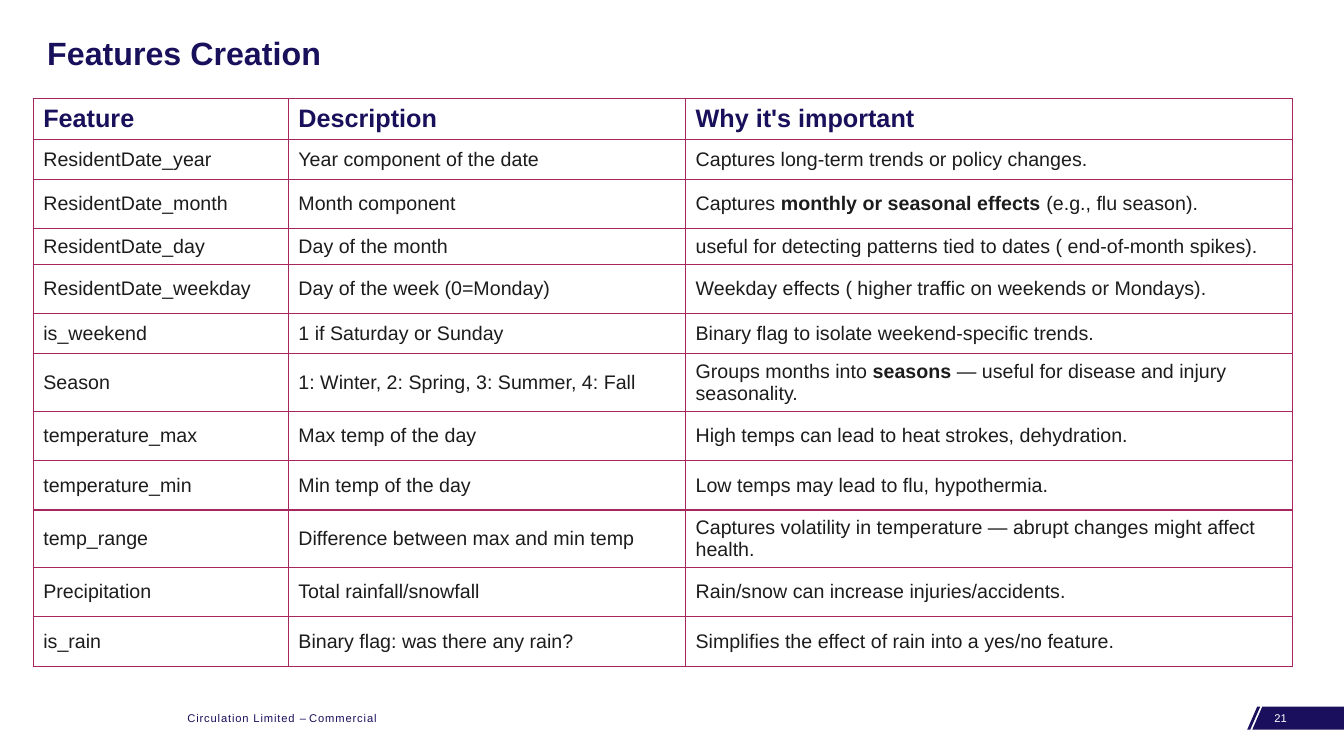
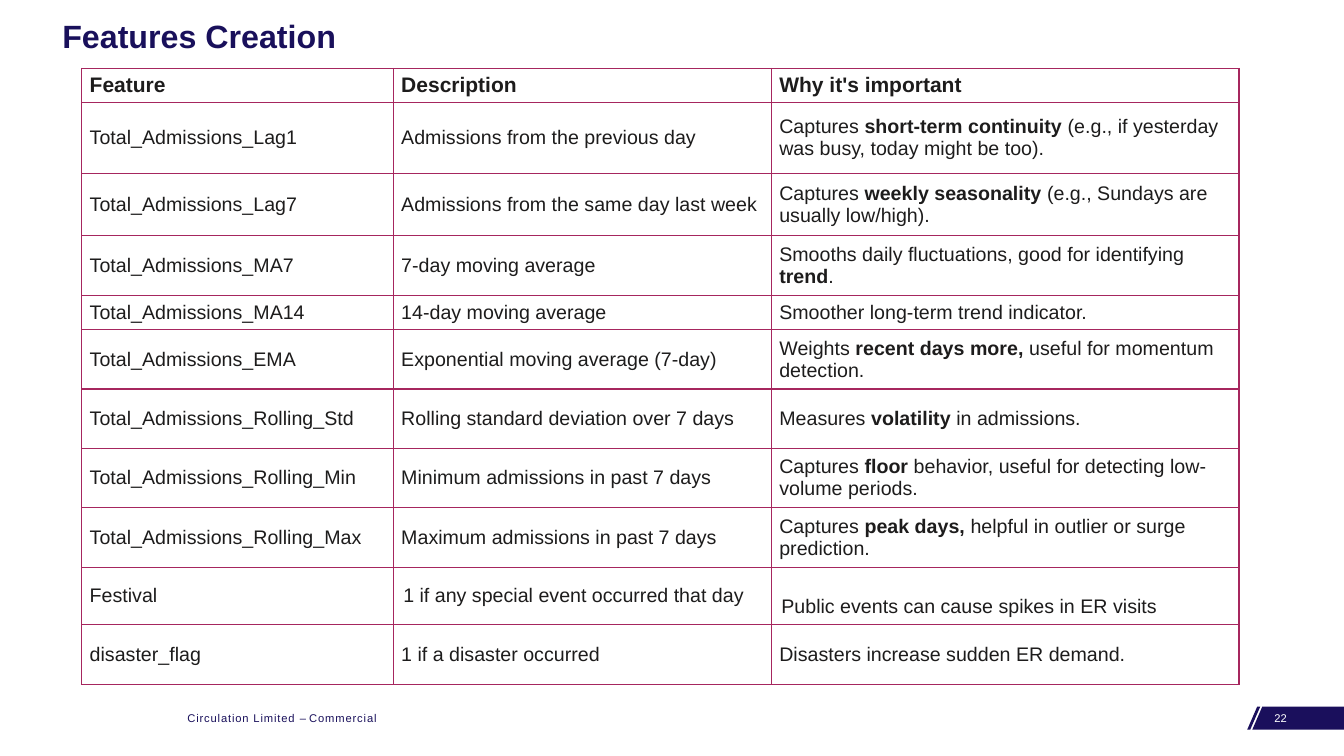
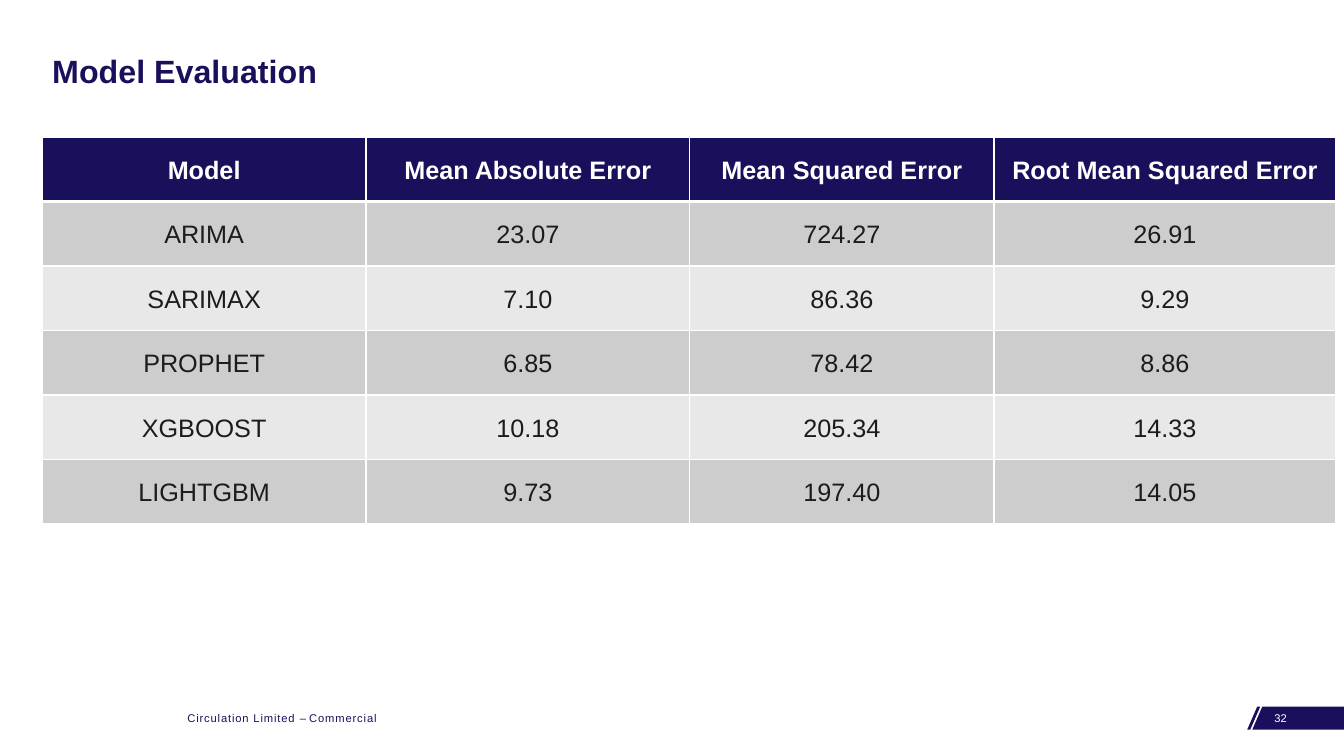
import pptx
import pptx.dml.color
import pptx.enum.text
import pptx.oxml
import pptx.oxml.ns
import pptx.util

Inches = pptx.util.Inches
Pt = pptx.util.Pt
rgb = pptx.dml.color.RGBColor.from_string
MIDDLE = pptx.enum.text.MSO_ANCHOR.MIDDLE
TOP = pptx.enum.text.MSO_ANCHOR.TOP
CENTER = pptx.enum.text.PP_ALIGN.CENTER
LEFT = pptx.enum.text.PP_ALIGN.LEFT

NAVY = "19105B"
BAND = "1A0F5C"
BERRY = "A6265E"
INK = "1D1C1C"
WHITE = "FFFFFF"
GREYS = ["E8E8E8", "CDCDCD"]


def write_text(paragraph, text, size=14, color=INK, bold=False, align=LEFT, spacing=1.0, tracking=0):
    paragraph.alignment = align
    paragraph.line_spacing = spacing
    for position, part in enumerate(text.split("**")):
        run = paragraph.add_run()
        run.text = part
        run.font.name = "Arial"
        run.font.size = Pt(size)
        run.font.bold = bold or position % 2 == 1
        run.font.color.rgb = rgb(color)
        if tracking:
            run.font._element.set("spc", str(round(tracking * 100)))


def draw_borders(cell, color, top=1, bottom=1):
    widths = {"lnL": 1, "lnR": 1, "lnT": top, "lnB": bottom}
    for order, (side, width) in enumerate(widths.items()):
        border = pptx.oxml.parse_xml(
            f'<a:{side} {pptx.oxml.ns.nsdecls("a")} w="{Pt(width)}">'
            f'<a:solidFill><a:srgbClr val="{color}"/></a:solidFill></a:{side}>'
        )
        cell._tc.get_or_add_tcPr().insert(order, border)


heading = ["Feature", "Description", "Why it's important"]

date_weather_features = [
    heading,
    ["ResidentDate_year", "Year component of the date", "Captures long-term trends or policy changes."],
    ["ResidentDate_month", "Month component", "Captures **monthly or seasonal effects** (e.g., flu season)."],
    ["ResidentDate_day", "Day of the month",
     "useful for detecting patterns tied to dates ( end-of-month spikes)."],
    ["ResidentDate_weekday", "Day of the week (0=Monday)",
     "Weekday effects ( higher traffic on weekends or Mondays)."],
    ["is_weekend", "1 if Saturday or Sunday", "Binary flag to isolate weekend-specific trends."],
    ["Season", "1: Winter, 2: Spring, 3: Summer, 4: Fall",
     "Groups months into **seasons** — useful for disease and injury seasonality."],
    ["temperature_max", "Max temp of the day", "High temps can lead to heat strokes, dehydration."],
    ["temperature_min", "Min temp of the day", "Low temps may lead to flu, hypothermia."],
    ["temp_range", "Difference between max and min temp",
     "Captures volatility in temperature — abrupt changes might affect health."],
    ["Precipitation", "Total rainfall/snowfall", "Rain/snow can increase injuries/accidents."],
    ["is_rain", "Binary flag: was there any rain?", "Simplifies the effect of rain into a yes/no feature."],
]

admission_features = [
    heading,
    ["Total_Admissions_Lag1", "Admissions from the previous day",
     "Captures **short-term continuity** (e.g., if yesterday was busy, today might be too)."],
    ["Total_Admissions_Lag7", "Admissions from the same day last week",
     "Captures **weekly seasonality** (e.g., Sundays are usually low/high)."],
    ["Total_Admissions_MA7", "7-day moving average",
     "Smooths daily fluctuations, good for identifying **trend**."],
    ["Total_Admissions_MA14", "14-day moving average", "Smoother long-term trend indicator."],
    ["Total_Admissions_EMA", "Exponential moving average (7-day)",
     "Weights **recent days more,** useful for momentum detection."],
    ["Total_Admissions_Rolling_Std", "Rolling standard deviation over 7 days",
     "Measures **volatility** in admissions."],
    ["Total_Admissions_Rolling_Min", "Minimum admissions in past 7 days",
     "Captures **floor** behavior, useful for detecting low-volume periods."],
    ["Total_Admissions_Rolling_Max", "Maximum admissions in past 7 days",
     "Captures **peak days,** helpful in outlier or surge prediction."],
    ["Festival", "1 if any special event occurred that day", "Public events can cause spikes in ER visits"],
    ["disaster_flag", "1 if a disaster occurred", "Disasters increase sudden ER demand."],
]

model_errors = [
    ["Model", "Mean Absolute Error", "Mean Squared Error", "Root Mean Squared Error"],
    ["ARIMA", "23.07", "724.27", "26.91"],
    ["SARIMAX", "7.10", "86.36", "9.29"],
    ["PROPHET", "6.85", "78.42", "8.86"],
    ["XGBOOST", "10.18", "205.34", "14.33"],
    ["LIGHTGBM", "9.73", "197.40", "14.05"],
]

pages = [
    dict(number="21", title="Features Creation", title_box=(0.37, 0.12, 12.39, 0.86),
         rows=date_weather_features, origin=(0.33, 0.98), widths=[2.53, 3.94, 6.02],
         heights=[0.4, 0.4, 0.49, 0.35, 0.49, 0.4, 0.57, 0.49, 0.49, 0.57, 0.49, 0.49],
         inset=0.1, head=dict(size=18, color=NAVY), body=dict(size=14), banded=False),
    dict(number="22", title="Features Creation", title_box=(0.52, 0.07, 12.43, 0.61),
         rows=admission_features, origin=(0.81, 0.68), widths=[3.09, 3.75, 4.64],
         heights=[0.34, 0.7, 0.62, 0.59, 0.34, 0.59, 0.59, 0.59, 0.59, 0.57, 0.59],
         inset=0.08, head=dict(size=15), body=dict(size=14), banded=False),
    dict(number="32", title="Model Evaluation", title_box=(0.42, 0.2, 12.5, 1.05),
         rows=model_errors, origin=(0.42, 1.36), widths=[3.21, 3.21, 3.02, 3.39],
         heights=[0.64] * len(model_errors), inset=0.1,
         head=dict(size=18, color=WHITE, align=CENTER, spacing=1.5),
         body=dict(size=18, align=CENTER, spacing=1.5), banded=True),
]

footer_parts = [("Circulation Limited ", 0.6), ("– ", 0), ("Commercial", 0.6)]
stripe = [(12.5, 7.01), (12.47, 7.01), (12.37, 7.24), (12.4, 7.24)]
number_band = [(13.33, 7.01), (12.52, 7.01), (12.42, 7.24), (13.33, 7.24)]

deck = pptx.Presentation()
deck.slide_width = Inches(13.33)
deck.slide_height = Inches(7.5)

for page in pages:
    slide = deck.slides.add_slide(deck.slide_layouts[6])

    for outline in (stripe, number_band):
        points = [(Inches(x), Inches(y)) for x, y in outline]
        builder = slide.shapes.build_freeform(*points[0])
        builder.add_line_segments(points[1:], close=True)
        band = builder.convert_to_shape()
        band.shadow.inherit = False
        band.fill.solid()
        band.fill.fore_color.rgb = rgb(BAND)
        band.line.fill.background()

    footer = slide.shapes.add_textbox(Inches(1.76), Inches(7.01), Inches(2.19), Inches(0.24)).text_frame
    footer.word_wrap = True
    for part, tracking in footer_parts:
        write_text(footer.paragraphs[0], part, size=8, color=NAVY, tracking=tracking)

    number = slide.shapes.add_textbox(Inches(12.54), Inches(7.01), Inches(0.62), Inches(0.24)).text_frame
    number.word_wrap = True
    write_text(number.paragraphs[0], page["number"], size=8, color=WHITE)

    title = slide.shapes.add_textbox(*map(Inches, page["title_box"])).text_frame
    title.word_wrap = True
    title.vertical_anchor = MIDDLE
    write_text(title.paragraphs[0], page["title"], size=23, color=NAVY, bold=True, spacing=0.9)

    rows, widths, heights = page["rows"], page["widths"], page["heights"]
    left, top = page["origin"]
    table = slide.shapes.add_table(
        len(rows), len(widths), Inches(left), Inches(top), Inches(sum(widths)), Inches(sum(heights))
    ).table
    table.first_row = False
    table.horz_banding = False
    for column, width in zip(table.columns, widths):
        column.width = Inches(width)

    for row_index, (values, height) in enumerate(zip(rows, heights)):
        table.rows[row_index].height = Inches(height)
        is_head = row_index == 0
        for column_index, value in enumerate(values):
            cell = table.cell(row_index, column_index)
            is_festival_note = values[0] == "Festival" and column_index > 0
            inset = 0.1 if is_festival_note else page["inset"]
            cell.margin_left = cell.margin_right = Inches(inset)
            cell.margin_top = cell.margin_bottom = Inches(inset / 2)
            if is_festival_note and column_index == 2:
                cell.margin_top = Inches(0.27)
            cell.vertical_anchor = TOP if page["banded"] else MIDDLE
            write_text(cell.text_frame.paragraphs[0], value, bold=is_head,
                       **page["head" if is_head else "body"])
            if page["banded"]:
                cell.fill.solid()
                cell.fill.fore_color.rgb = rgb(NAVY if is_head else GREYS[row_index % 2])
                draw_borders(cell, WHITE, top=3 if row_index == 1 else 1, bottom=3 if is_head else 1)
            else:
                cell.fill.background()
                draw_borders(cell, BERRY)

deck.save("out.pptx")
